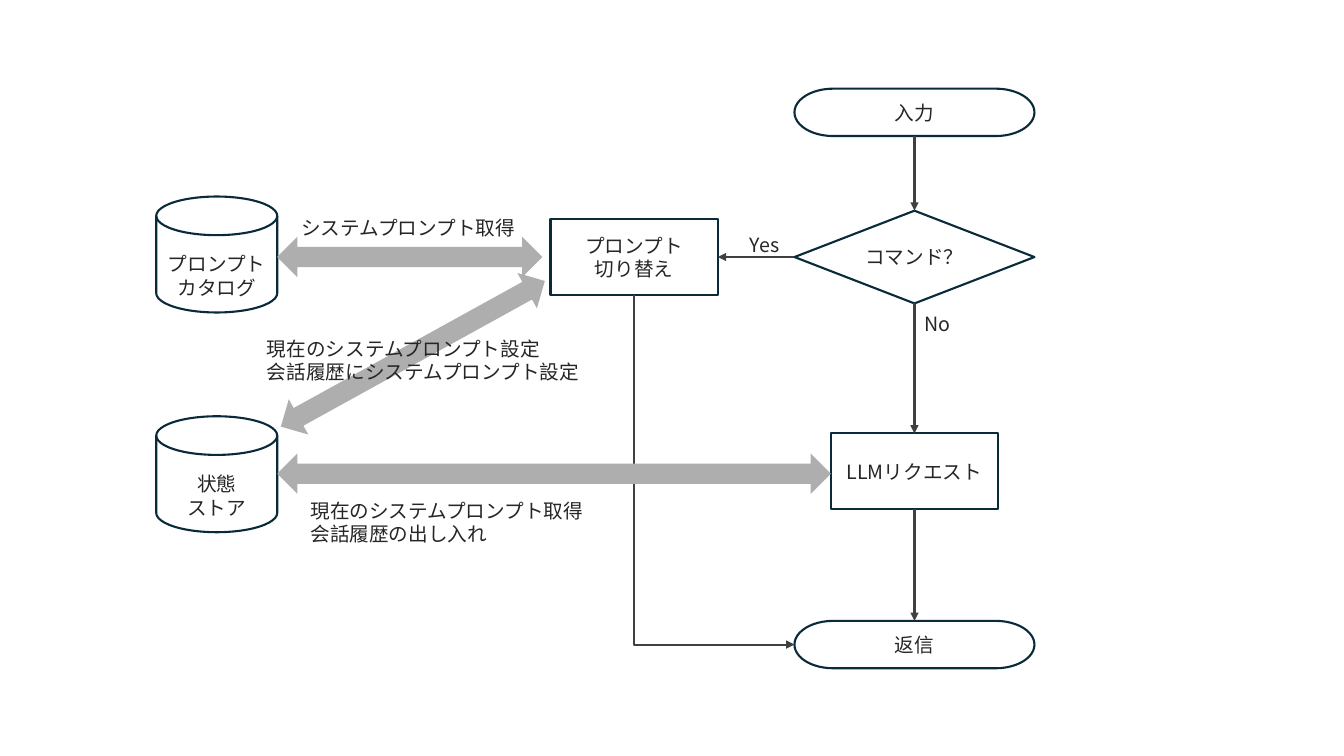
"""Build a flowchart slide of prompt switching with its two data stores."""
from lxml import etree
from pptx import Presentation
from pptx.dml.color import RGBColor
from pptx.enum.shapes import MSO_CONNECTOR, MSO_SHAPE
from pptx.enum.text import MSO_ANCHOR, MSO_AUTO_SIZE, PP_ALIGN
from pptx.oxml.ns import qn
from pptx.util import Pt

PX = 9144
FONT = "Noto Sans CJK JP"
COLORS = {"edge": "092A39", "text": "262626", "link": "404040", "flow": "AEAEAE"}
TOP, LEFT, BOTTOM, RIGHT = range(4)
RECT = MSO_SHAPE.RECTANGLE
ROUND = MSO_SHAPE.FLOWCHART_TERMINATOR
DIAMOND = MSO_SHAPE.DIAMOND
DISK = MSO_SHAPE.FLOWCHART_MAGNETIC_DISK
ARROW = MSO_SHAPE.LEFT_RIGHT_ARROW
STRAIGHT, ELBOW = MSO_CONNECTOR.STRAIGHT, MSO_CONNECTOR.ELBOW
CENTER, START = PP_ALIGN.CENTER, PP_ALIGN.LEFT
MIDDLE = MSO_ANCHOR.MIDDLE
GROW = MSO_AUTO_SIZE.SHAPE_TO_FIT_TEXT


def color(name):
    return RGBColor.from_string(COLORS[name])


def write(frame, lines, align):
    for i, line in enumerate(lines):
        para = frame.add_paragraph() if i else frame.paragraphs[0]
        para.alignment = align
        run = para.add_run()
        run.text = line
        run.font.size = Pt(14)
        run.font.name = FONT
        run.font.color.rgb = color("text")
        face = etree.SubElement(run.font._element, qn("a:ea"))
        face.set("typeface", FONT)


def add_node(slide, kind, box, *lines):
    node = slide.shapes.add_shape(kind, *(n * PX for n in box))
    node.shadow.inherit = False
    node.fill.background()
    node.line.color.rgb = color("edge")
    node.line.width = Pt(1.5)
    frame = node.text_frame
    frame.word_wrap = True
    frame.vertical_anchor = MIDDLE
    write(frame, lines, CENTER)
    return node


def add_store(slide, top, *lines):
    store = add_node(slide, DISK, (155, top, 120, 115), *lines)
    store.text_frame.margin_top = 28 * PX


def add_label(slide, box, *lines):
    label = slide.shapes.add_textbox(*(n * PX for n in box))
    frame = label.text_frame
    frame.word_wrap = False
    frame.auto_size = GROW
    write(frame, lines, START)


def add_flow(slide, left, top, width, angle=0):
    flow = slide.shapes.add_shape(ARROW, left * PX, top * PX, width * PX, 40 * PX)
    flow.shadow.inherit = False
    flow.fill.solid()
    flow.fill.fore_color.rgb = color("flow")
    flow.line.fill.background()
    flow.rotation = angle


def add_link(slide, tail, out, head, into, kind=STRAIGHT):
    link = slide.shapes.add_connector(kind, 0, 0, 0, 0)
    link.begin_connect(tail, out)
    link.end_connect(head, into)
    link.line.color.rgb = color("link")
    link.line.width = Pt(1.5)
    end = etree.SubElement(link.line._get_or_add_ln(), qn("a:tailEnd"))
    end.set("type", "triangle")
    etree.SubElement(link._element.spPr, qn("a:effectLst"))
    return link


def bend_down(link):
    wide, high = link.width, link.height
    link.left += (wide - high) // 2
    link.top += (high - wide) // 2
    link.width, link.height = high, wide
    props = link._element.spPr
    props.find(qn("a:prstGeom")).set("prst", "bentConnector2")
    frame = props.find(qn("a:xfrm"))
    frame.set("rot", "16200000")
    frame.set("flipH", "1")


def main():
    deck = Presentation()
    deck.slide_width, deck.slide_height = 1333 * PX, 750 * PX
    slide = deck.slides.add_slide(deck.slide_layouts[6])

    check = add_node(slide, DIAMOND, (788, 209, 238, 92), "コマンド？")
    entry = add_node(slide, ROUND, (788, 88, 238, 47), "入力")
    ask = add_node(slide, RECT, (824, 430, 166, 75), "LLMリクエスト")
    reply = add_node(slide, ROUND, (788, 616, 238, 47), "返信")
    switch = add_node(slide, RECT, (546, 217, 166, 76), "プロンプト", "切り替え")
    add_store(slide, 413, "状態", "ストア")
    add_store(slide, 195, "プロンプト", "カタログ")

    for tail, head in ((entry, check), (check, ask), (ask, reply)):
        add_link(slide, tail, BOTTOM, head, TOP)
    add_link(slide, check, LEFT, switch, RIGHT)
    bend_down(add_link(slide, switch, BOTTOM, reply, LEFT, ELBOW))

    add_flow(slide, 275, 235, 263)
    add_flow(slide, 275, 450, 549)
    add_flow(slide, 260, 331, 299, 331.1)

    add_label(slide, (734, 226, 54, 34), "Yes")
    add_label(slide, (907, 305, 46, 34), "No")
    add_label(slide, (289, 209, 236, 34), "システムプロンプト取得")
    add_label(slide, (298, 490, 295, 57),
              "現在のシステムプロンプト取得", "会話履歴の出し入れ")
    add_label(slide, (255, 329, 334, 57),
              "現在のシステムプロンプト設定", "会話履歴にシステムプロンプト設定")

    deck.save("out.pptx")


if __name__ == "__main__":
    main()
